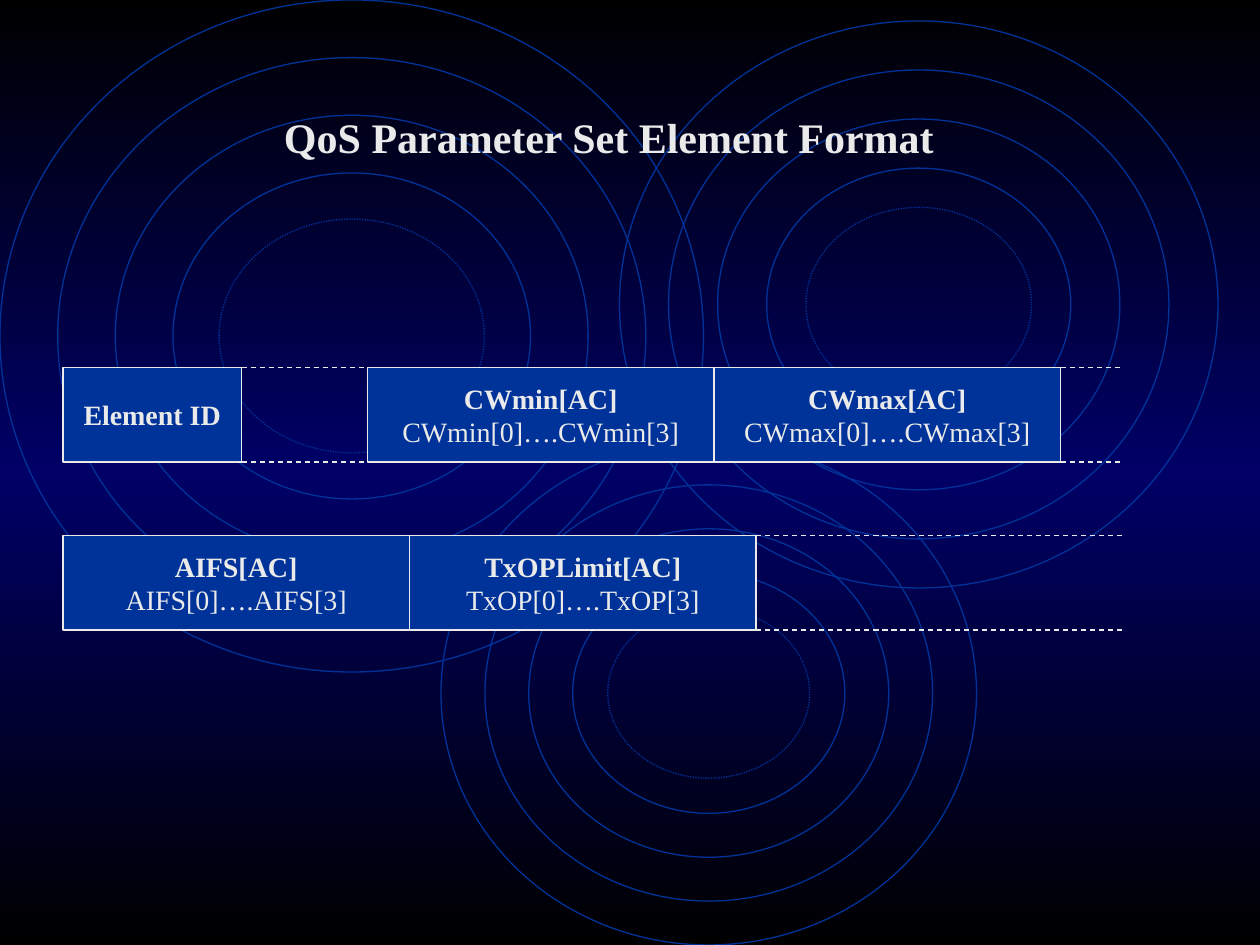
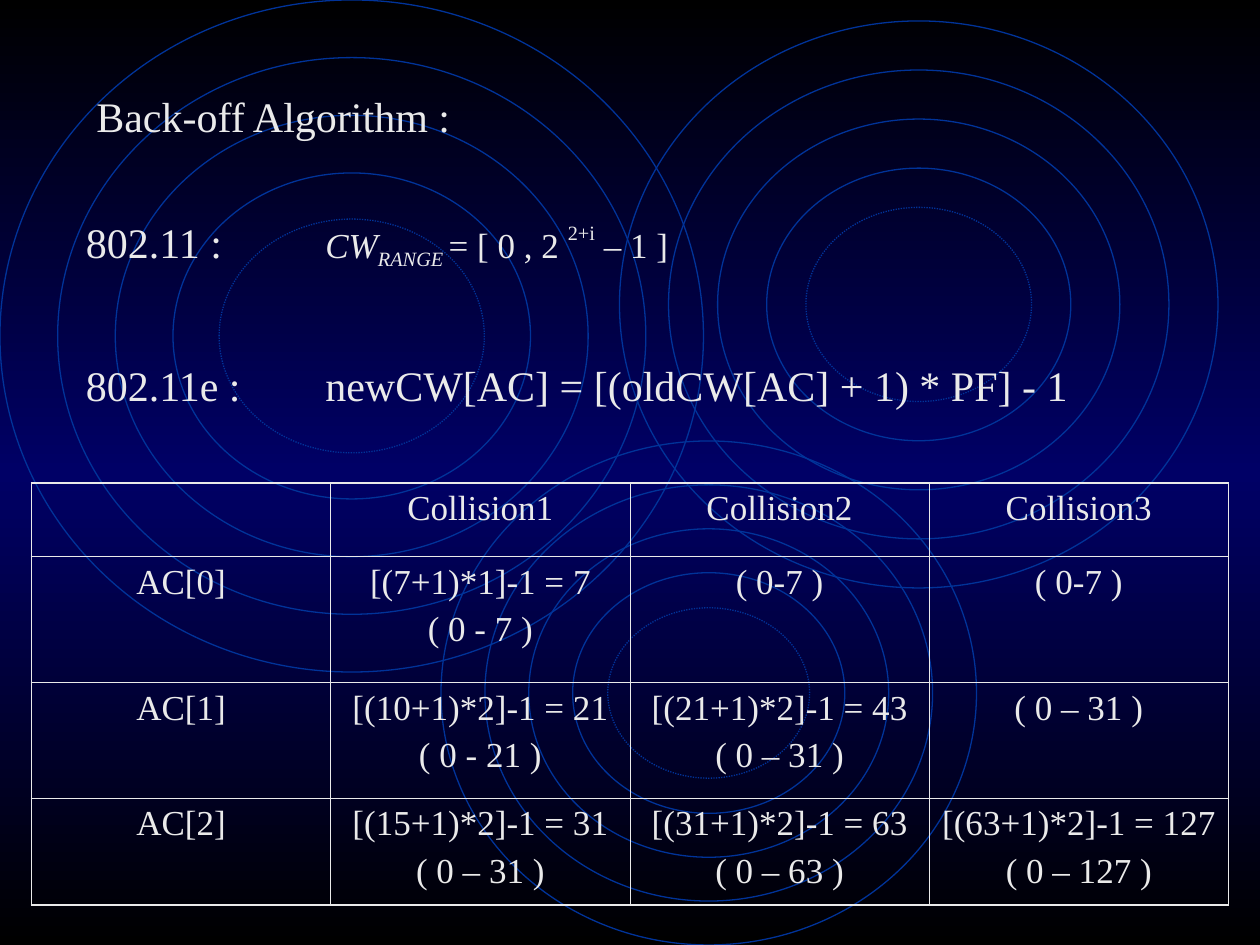
from copy import deepcopy
from itertools import product
from lxml.etree import SubElement
from pptx import Presentation
from pptx.dml.color import RGBColor as RGB
from pptx.enum.dml import MSO_LINE as DASH
from pptx.enum.shapes import MSO_CONNECTOR as LINK, MSO_SHAPE as SHAPE
from pptx.enum.text import MSO_ANCHOR as ANCHOR, PP_ALIGN as ALIGN
from pptx.oxml.ns import qn
from pptx.util import Inches, Pt

COLORS = {"black": "000000", "navy": "000066", "blue": "003399", "pale": "EAEAEA"}
FONT = "Times New Roman"
C = {name: RGB.from_string(value) for name, value in COLORS.items()}

prs = Presentation()
prs.slide_width, prs.slide_height = Inches(10), Inches(7.5)
U = prs.slide_width // 120


def grid(*cells):
    return [round(n * U) for n in cells]


def write(tf, lines, size=20, align=ALIGN.LEFT, gap=0, tab=None):
    for i, runs in enumerate(lines):
        p = tf.add_paragraph() if i else tf.paragraphs[0]
        p.alignment = align
        if tab:
            tabs = SubElement(p._p.get_or_add_pPr(), qn("a:tabLst"))
            SubElement(tabs, qn("a:tab"), pos=str(round(tab * U)), algn="l")
        if i:
            p.space_before = Pt(gap)
        for text, style in runs:
            r = p.add_run()
            r.text = text
            r.font.name = FONT
            r.font.size = Pt(style.get("size", size))
            r.font.bold = style.get("bold", False)
            r.font.italic = style.get("italic", False)
            r.font.color.rgb = C["pale"]
            if "shift" in style:
                r._r.get_or_add_rPr().set("baseline", str(style["shift"] * 1000))


master = prs.slide_master
fill = master.background.fill
fill.gradient()
fill.gradient_angle = 270
stops = master.element.find(".//" + qn("a:gsLst"))
stops.append(deepcopy(stops[0]))
for stop, share, name in zip(fill.gradient_stops, (0, 0.5, 1), ("black", "navy", "black")):
    stop.position = share
    stop.color.rgb = C[name]

blank = prs.slide_layouts[6]
s = prs.slides.add_slide(blank)

rings = s.shapes.add_group_shape()
for (x, y, w, h), step in product(
        [(0, 0, 67, 64), (42, 42, 51, 48), (59, 2, 57, 54)], (0, 1, 2, 3, 3.8)):
    d = step * w / 12.2
    sp = rings.shapes.add_shape(SHAPE.OVAL, *grid(x + d, y + d, w - 2 * d, h - 2 * d))
    sp.shadow.inherit = False
    sp.fill.background()
    sp.line.color.rgb = C["blue"]
    sp.line.width = Pt(0.75)
    if step == 3.8:
        sp.line.dash_style = DASH.ROUND_DOT
for node in rings.element.iter(qn("p:cNvPr")):
    node.set("id", str(int(node.get("id")) + 100))
master.shapes.element.insert(2, rings.element)

TOP, BOTTOM, TALL = 35, 51, 9
for x, y, w, lines in [
    (6, TOP, 17, ["Element ID"]),
    (35, TOP, 33, ["CWmin[AC]", "CWmin[0]….CWmin[3]"]),
    (68, TOP, 33, ["CWmax[AC]", "CWmax[0]….CWmax[3]"]),
    (6, BOTTOM, 33, ["AIFS[AC]", "AIFS[0]….AIFS[3]"]),
    (39, BOTTOM, 33, ["TxOPLimit[AC]", "TxOP[0]….TxOP[3]"]),
]:
    sp = s.shapes.add_shape(SHAPE.RECTANGLE, *grid(x, y, w, TALL))
    sp.shadow.inherit = False
    sp.fill.solid()
    sp.fill.fore_color.rgb = C["blue"]
    sp.line.color.rgb = C["pale"]
    sp.line.width = Pt(0.75)
    tf = sp.text_frame
    tf.word_wrap = False
    tf.vertical_anchor = ANCHOR.MIDDLE
    write(tf, [[(t, {"bold": i == 0})] for i, t in enumerate(lines)], size=16, align=ALIGN.CENTER)

for (x1, x2, y), drop in product([(23, 35, TOP), (101, 107, TOP), (72, 107, BOTTOM)], (0, TALL)):
    line = s.shapes.add_connector(LINK.STRAIGHT, *grid(x1, y + drop, x2, y + drop))
    line.line.color.rgb = C["pale"]
    line.line.width = Pt(0.75)
    line.line.dash_style = DASH.DASH
    SubElement(line._element.spPr, qn("a:effectLst"))

s2 = prs.slides.add_slide(blank)
formulas = [
    [("802.11 :\t", {"size": 24}), ("CW", {"italic": True}),
     ("RANGE ", {"italic": True, "shift": -25}), ("= [ 0 , 2 ", {}),
     ("2+i", {"shift": 50}), (" – 1 ]", {})],
    [("802.11e :\tnewCW[AC] = [(oldCW[AC] + 1) * PF] - 1", {"size": 24})],
]
for slide, box, lines, style in [
    (s, (4, 10, 108, 6), [[("QoS Parameter Set Element Format", {"bold": True})]],
     {"size": 24, "align": ALIGN.CENTER}),
    (s2, (8, 8, 61, 6), [[("Back-off Algorithm :", {})]], {"size": 24}),
    (s2, (7, 20, 105, 27), formulas, {"gap": 50.5, "tab": 22.8}),
]:
    tf = slide.shapes.add_textbox(*grid(*box)).text_frame
    tf.word_wrap = True
    write(tf, lines, **style)

cells = [
    ["", "Collision1", "Collision2", "Collision3"],
    ["AC[0]", "[(7+1)*1]-1 = 7\n( 0 - 7 )", "( 0-7 )", "( 0-7 )"],
    ["AC[1]", "[(10+1)*2]-1 = 21\n( 0 - 21 )", "[(21+1)*2]-1 = 43\n( 0 – 31 )", "( 0 – 31 )"],
    ["AC[2]", "[(15+1)*2]-1 = 31\n( 0 – 31 )", "[(31+1)*2]-1 = 63\n( 0 – 63 )",
     "[(63+1)*2]-1 = 127\n( 0 – 127 )"],
]
heights = grid(7, 12, 11, 10.2)
table = s2.shapes.add_table(4, 4, *grid(3, 46, 114, 40.2)).table
table.first_row = table.horz_banding = False
for row, height in zip(table.rows, heights):
    row.height = height
for i, j in product(range(4), repeat=2):
    cell = table.cell(i, j)
    if cells[i][j]:
        write(cell.text_frame, [[(t, {})] for t in cells[i][j].split("\n")],
              align=ALIGN.CENTER, gap=5)
    tcPr = cell._tc.get_or_add_tcPr()
    for side, outer in [("L", j == 0), ("R", j == 3), ("T", i == 0), ("B", i == 3)]:
        ln = SubElement(tcPr, qn("a:ln" + side), w=str(Pt(1.08 if outer else 0.45)))
        SubElement(SubElement(ln, qn("a:solidFill")), qn("a:srgbClr"), val=COLORS["pale"])
    cell.fill.background()

prs.save("out.pptx")
